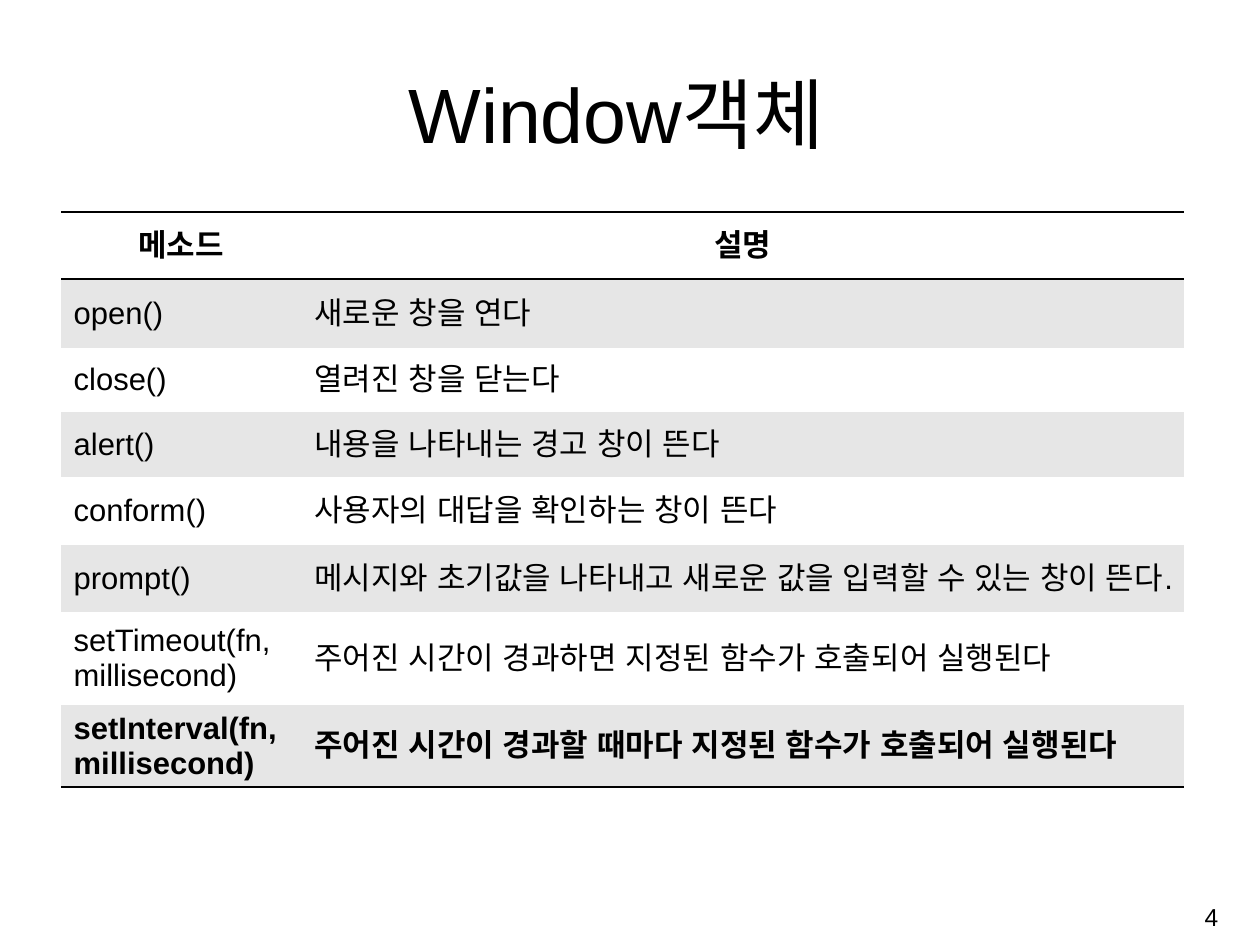
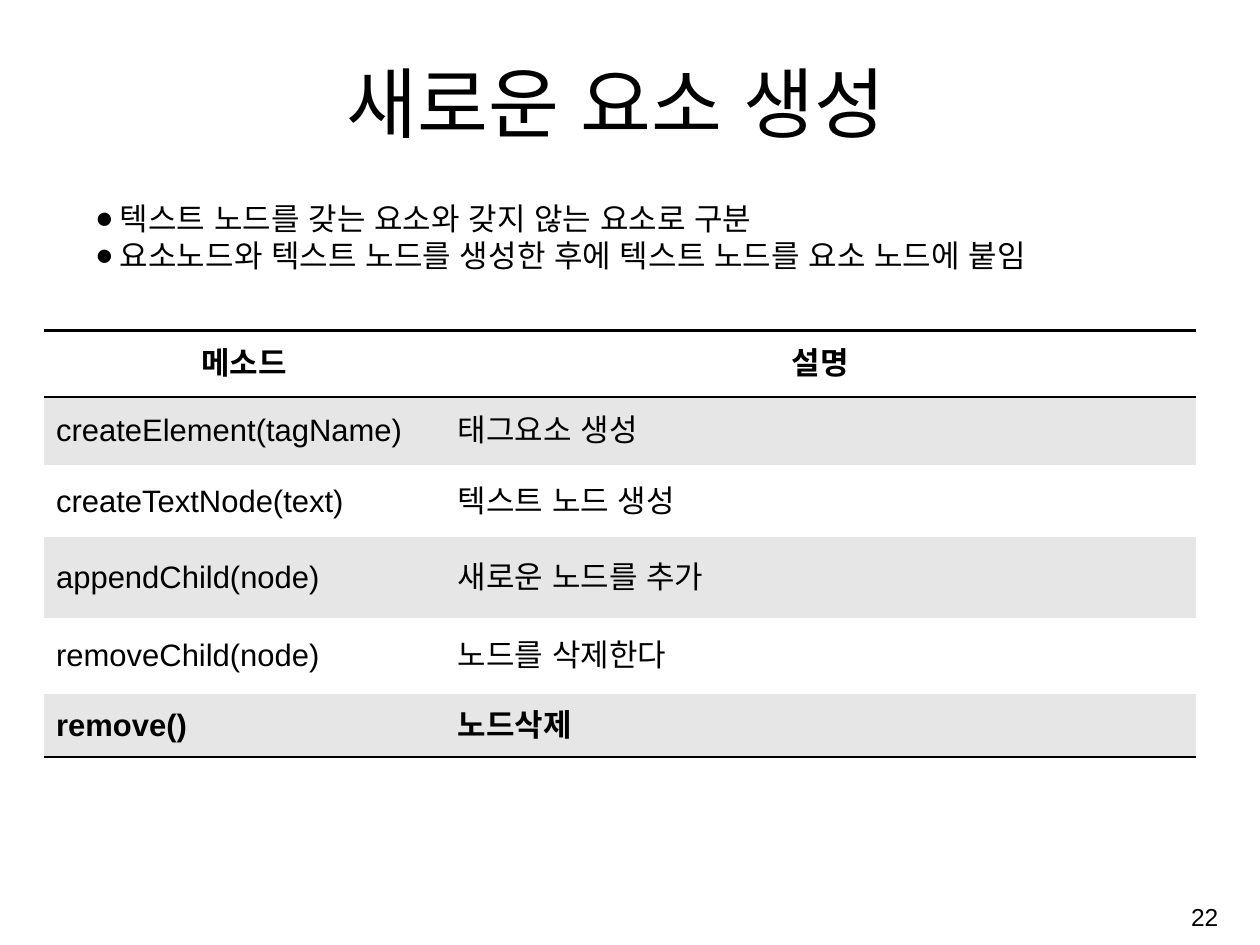
"""Build two slides that list the methods of window and document objects."""
from dataclasses import dataclass

from lxml.etree import SubElement
from pptx import Presentation
from pptx.dml.color import RGBColor
from pptx.enum.text import MSO_ANCHOR, MSO_AUTO_SIZE, PP_ALIGN
from pptx.oxml import parse_xml
from pptx.oxml.ns import nsdecls, qn
from pptx.util import Cm, Pt


@dataclass(frozen=True)
class Theme:
    font: str = "Arial"
    ink: RGBColor = RGBColor(0x00, 0x00, 0x00)
    paper: RGBColor = RGBColor(0xFF, 0xFF, 0xFF)
    band: RGBColor = RGBColor(0xE6, 0xE6, 0xE6)
    title_size: Pt = Pt(57.2)
    body_size: Pt = Pt(23)
    number_size: Pt = Pt(18.2)
    rule_width: Pt = Pt(2)


THEME = Theme()
HEADER = ("메소드", "설명")
LESSONS = [
    {
        "title": "Window객체",
        "title_height": 2.74,
        "points": [],
        "table_at": (1.6, 5.56),
        "columns": (6.3, 23.11),
        "rows": (1.75, 1.8, 1.68, 1.7, 1.78, 1.75, 2.44, 2.16),
        "methods": [
            ("open()", "새로운 창을 연다"),
            ("close()", "열려진 창을 닫는다"),
            ("alert()", "내용을 나타내는 경고 창이 뜬다"),
            ("conform()", "사용자의 대답을 확인하는 창이 뜬다"),
            ("prompt()", "메시지와 초기값을 나타내고 새로운 값을 입력할 수 있는 창이 뜬다."),
            ("setTimeout(fn, millisecond)", "주어진 시간이 경과하면 지정된 함수가 호출되어 실행된다"),
            ("setInterval(fn, millisecond)", "주어진 시간이 경과할 때마다 지정된 함수가 호출되어 실행된다"),
        ],
        "number": "4",
    },
    {
        "title": "새로운 요소 생성",
        "title_height": 2.44,
        "points": [
            "텍스트 노드를 갖는 요소와 갖지 않는 요소로 구분",
            "요소노드와 텍스트 노드를 생성한 후에 텍스트 노드를 요소 노드에 붙임",
        ],
        "table_at": (1.14, 8.66),
        "columns": (10.52, 19.66),
        "rows": (1.73, 1.8, 1.88, 2.11, 2.01, 1.63),
        "methods": [
            ("createElement(tagName)", "태그요소 생성"),
            ("createTextNode(text)", "텍스트 노드 생성"),
            ("appendChild(node)", "새로운 노드를 추가"),
            ("removeChild(node)", "노드를 삭제한다"),
            ("remove()", "노드삭제"),
        ],
        "number": "22",
    },
]


def style_text(frame, size, align, bold=False):
    for paragraph in frame.paragraphs:
        paragraph.alignment = align
        for run in paragraph.runs:
            run.font.size = size
            run.font.bold = bold
            run.font.color.rgb = THEME.ink
            run.font.name = THEME.font
            latin = run._r.get_or_add_rPr().find(qn("a:latin"))
            latin.addnext(parse_xml(f'<a:ea {nsdecls("a")} typeface="{THEME.font}"/>'))


def set_borders(cell, ruled_sides):
    properties = cell._tc.get_or_add_tcPr()
    for position, side in enumerate("LRTB"):
        if side in ruled_sides:
            stroke = f'<a:solidFill><a:srgbClr val="{THEME.ink}"/></a:solidFill>'
        else:
            stroke = "<a:noFill/>"
        border = f'<a:ln{side} {nsdecls("a")} w="{THEME.rule_width}">{stroke}</a:ln{side}>'
        properties.insert(position, parse_xml(border))


deck = Presentation()
deck.slide_width, deck.slide_height = Cm(33), Cm(24.75)

for lesson in LESSONS:
    slide = deck.slides.add_slide(deck.slide_layouts[5])

    title = slide.shapes.title
    title.left, title.top = Cm(2.67), Cm(1.55)
    title.width, title.height = Cm(26.95), Cm(lesson["title_height"])
    title.text_frame.text = lesson["title"]
    title.text_frame.auto_size = MSO_AUTO_SIZE.NONE
    title.text_frame.vertical_anchor = MSO_ANCHOR.BOTTOM
    style_text(title.text_frame, THEME.title_size, PP_ALIGN.CENTER)

    if lesson["points"]:
        points = slide.shapes.add_textbox(Cm(2.24), Cm(4.55), Cm(28.02), Cm(2.74)).text_frame
        points.word_wrap = True
        points.vertical_anchor = MSO_ANCHOR.BOTTOM
        points.text = "\n".join(lesson["points"])
        style_text(points, THEME.body_size, PP_ALIGN.LEFT)
        for point in points.paragraphs:
            bullet = point._p.get_or_add_pPr()
            bullet.set("marL", str(Cm(0.65)))
            bullet.set("indent", str(-Cm(0.65)))
            SubElement(bullet, qn("a:buFont"), typeface=THEME.font)
            SubElement(bullet, qn("a:buChar"), char="●")

    entries = [HEADER, *lesson["methods"]]
    last = len(entries) - 1
    left, top = lesson["table_at"]
    methods = slide.shapes.add_table(
        len(entries), len(HEADER), Cm(left), Cm(top),
        Cm(sum(lesson["columns"])), Cm(sum(lesson["rows"])),
    ).table
    methods.first_row = methods.horz_banding = False
    for column, width in zip(methods.columns, lesson["columns"]):
        column.width = Cm(width)
    for index, entry in enumerate(entries):
        methods.rows[index].height = Cm(lesson["rows"][index])
        ruled_sides = ("T" if index < 2 else "") + ("B" if index in (0, last) else "")
        for cell, wording in zip(methods.rows[index].cells, entry):
            cell.text_frame.text = wording
            cell.vertical_anchor = MSO_ANCHOR.MIDDLE
            cell.margin_left = cell.margin_right = Cm(0.33)
            cell.margin_top = cell.margin_bottom = Cm(0.16)
            cell.fill.solid()
            cell.fill.fore_color.rgb = THEME.band if index % 2 else THEME.paper
            align = PP_ALIGN.LEFT if index else PP_ALIGN.CENTER
            style_text(cell.text_frame, THEME.body_size, align, bold=index in (0, last))
            set_borders(cell, ruled_sides)

    number = slide.shapes.add_textbox(Cm(25.35), Cm(23.24), Cm(6.81), Cm(1.52)).text_frame
    number.word_wrap = True
    number.vertical_anchor = MSO_ANCHOR.MIDDLE
    number.text = lesson["number"]
    style_text(number, THEME.number_size, PP_ALIGN.RIGHT)

deck.save("out.pptx")
